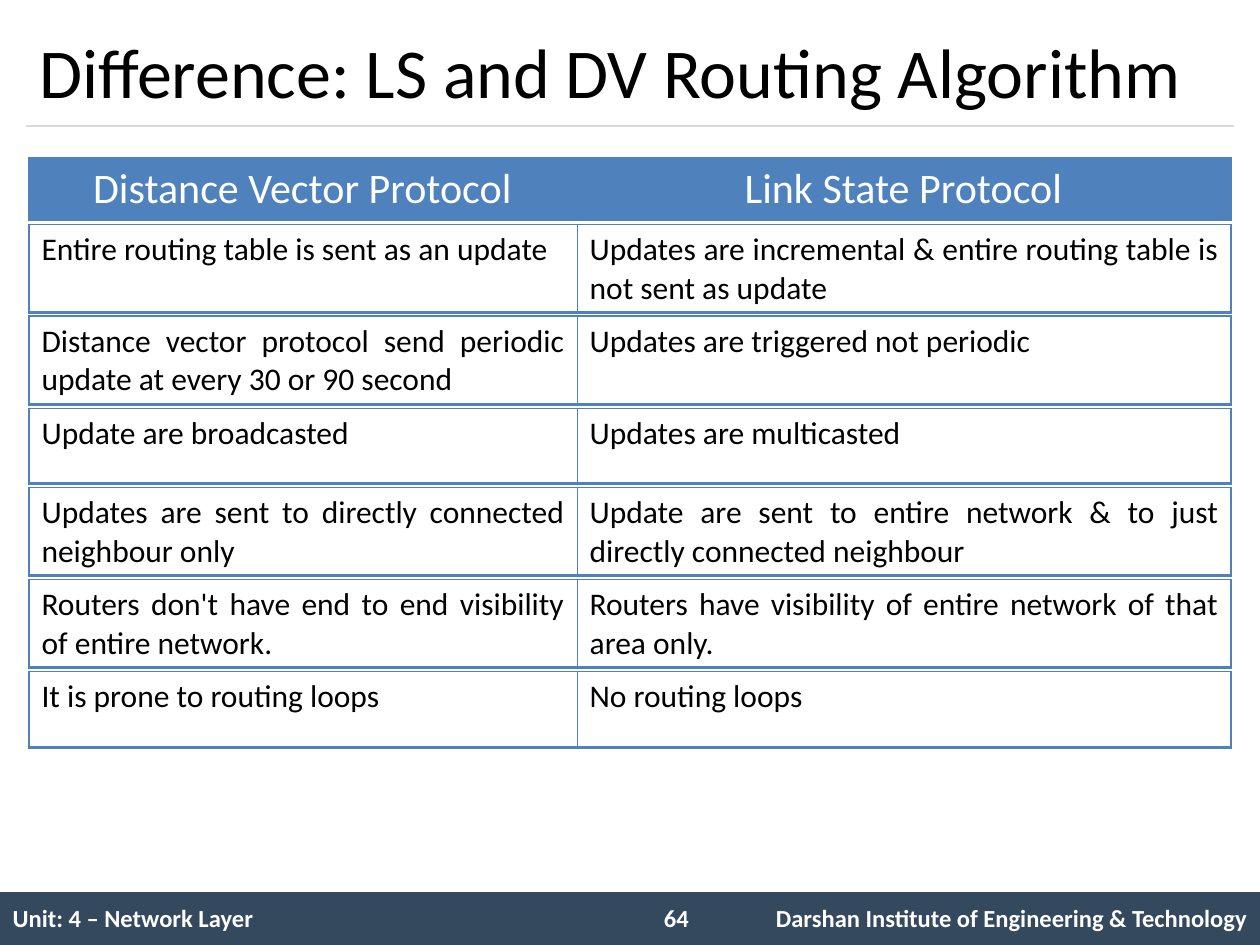
from dataclasses import dataclass
from typing import Optional

from lxml import etree
from pptx import Presentation
from pptx.dml.color import RGBColor
from pptx.enum.shapes import MSO_CONNECTOR, MSO_SHAPE
from pptx.enum.text import MSO_ANCHOR, PP_ALIGN
from pptx.oxml.ns import qn
from pptx.util import Emu, Inches, Pt

LEFT, CENTER, RIGHT, JUSTIFY = PP_ALIGN.LEFT, PP_ALIGN.CENTER, PP_ALIGN.RIGHT, PP_ALIGN.JUSTIFY
TOP, MIDDLE = MSO_ANCHOR.TOP, MSO_ANCHOR.MIDDLE
STRAIGHT, RECTANGLE = MSO_CONNECTOR.STRAIGHT, MSO_SHAPE.RECTANGLE

SLIDE_WIDTH, SLIDE_HEIGHT = Inches(10), Inches(7.5)
GRID_COLUMNS, GRID_ROWS = 100, 75
FONT = "Calibri"
BLACK = RGBColor(0x00, 0x00, 0x00)
WHITE = RGBColor(0xFF, 0xFF, 0xFF)
BLUE = RGBColor(0x4F, 0x81, 0xBD)
SLATE = RGBColor(0x34, 0x49, 0x5E)
RULE_GREY = RGBColor(0xD9, 0xD9, 0xD9)

TABLE_LEFT, TABLE_TOP, BAND_GAP = 2.3, 12.5, 0.3
FOOTER_TOP = 70.8


@dataclass(frozen=True)
class BandStyle:
    columns: tuple[float, ...]
    size: float
    color: RGBColor
    aligns: tuple[PP_ALIGN, ...]
    anchor: MSO_ANCHOR = TOP
    bold: bool = False
    fill: Optional[RGBColor] = None
    outer: float = 0
    inner: float = 0
    bottom: float = 0


@dataclass(frozen=True)
class Band:
    texts: tuple[str, ...]
    height: float
    style: BandStyle


HEADER = BandStyle((43.4, 52), 24, WHITE, (CENTER, CENTER), fill=BLUE, outer=1, bottom=1)
BODY = BandStyle((43.5, 51.9), 18, BLACK, (JUSTIFY, JUSTIFY), outer=1, inner=0.5, bottom=2)
FOOTER = BandStyle((50.8, 6.7, 42.5), 14, WHITE, (LEFT, LEFT, RIGHT), MIDDLE, True)

COMPARISON = (
    Band(("Distance Vector Protocol", "Link State Protocol"), 5, HEADER),
    Band(("Entire routing table is sent as an update",
          "Updates are incremental & entire routing table is not sent as update"), 7, BODY),
    Band(("Distance vector protocol send periodic update at every 30 or 90 second",
          "Updates are triggered not periodic"), 7, BODY),
    Band(("Update are broadcasted", "Updates are multicasted"), 6, BODY),
    Band(("Updates are sent to directly connected neighbour only",
          "Update are sent to entire network & to just directly connected neighbour"), 7, BODY),
    Band(("Routers don't have end to end visibility of entire network.",
          "Routers have visibility of entire network of that area only."), 7, BODY),
    Band(("It is prone to routing loops", "No routing loops"), 6, BODY),
)
FOOTER_BAND = Band(
    ("Unit: 4 – Network Layer", "", "Darshan Institute of Engineering & Technology"), 4.3, FOOTER)


def across(columns: float) -> Emu:
    return Emu(round(SLIDE_WIDTH * columns / GRID_COLUMNS))


def down(rows: float) -> Emu:
    return Emu(round(SLIDE_HEIGHT * rows / GRID_ROWS))


def area(left: float, top: float, width: float, height: float) -> tuple[Emu, Emu, Emu, Emu]:
    return across(left), down(top), across(width), down(height)


def write(frame, text: str, size: float, color: RGBColor, align=LEFT, bold=False) -> None:
    frame.text = text
    paragraph = frame.paragraphs[0]
    paragraph.alignment = align
    font = paragraph.font
    font.name, font.size, font.bold = FONT, Pt(size), bold
    font.color.rgb = color


def set_border(cell, side: str, width: float) -> None:
    border = etree.SubElement(cell._tc.get_or_add_tcPr(), qn(f"a:ln{side}"), w=str(Pt(width)))
    if width:
        paint = etree.SubElement(border, qn("a:solidFill"))
        etree.SubElement(paint, qn("a:srgbClr"), val=str(BLUE))
    else:
        etree.SubElement(border, qn("a:noFill"))


def draw_band(slide, band: Band, left: float, top: float) -> None:
    style = band.style
    last = len(style.columns) - 1
    table = slide.shapes.add_table(
        1, last + 1, *area(left, top, sum(style.columns), band.height)).table
    table.first_row = table.horz_banding = False
    for index, (text, width, align) in enumerate(zip(band.texts, style.columns, style.aligns)):
        table.columns[index].width = across(width)
        cell = table.cell(0, index)
        cell.vertical_anchor = style.anchor
        set_border(cell, "L", style.inner if index else style.outer)
        set_border(cell, "R", style.inner if index < last else style.outer)
        set_border(cell, "T", style.outer)
        set_border(cell, "B", style.bottom)
        if style.fill is None:
            cell.fill.background()
        else:
            cell.fill.solid()
            cell.fill.fore_color.rgb = style.fill
        write(cell.text_frame, text, style.size, style.color, align, style.bold)


def draw_title(slide) -> None:
    title = slide.shapes.title
    title.left, title.top, title.width, title.height = area(2.1, 1.2, 95.8, 8.8)
    title.text_frame.vertical_anchor = MIDDLE
    write(title.text_frame, "Difference: LS and DV Routing Algorithm", 40, BLACK)
    rule = slide.shapes.add_connector(
        STRAIGHT, across(2.1), down(10), across(97.9), down(10))
    rule.line.color.rgb = RULE_GREY
    rule.line.width = Pt(0.75)
    etree.SubElement(rule._element.spPr, qn("a:effectLst"))


def draw_footer(slide) -> None:
    bar = slide.shapes.add_shape(RECTANGLE, *area(0, FOOTER_TOP, 100, 4.2))
    bar.shadow.inherit = False
    bar.fill.solid()
    bar.fill.fore_color.rgb = SLATE
    bar.line.fill.background()
    draw_band(slide, FOOTER_BAND, 0, FOOTER_TOP)
    page_number = slide.shapes.add_textbox(*area(51.7, 71.2, 5.8, 3.4)).text_frame
    page_number.word_wrap = True
    write(page_number, "64", FOOTER.size, FOOTER.color, bold=True)


def main() -> None:
    presentation = Presentation()
    presentation.slide_width, presentation.slide_height = SLIDE_WIDTH, SLIDE_HEIGHT
    slide = presentation.slides.add_slide(presentation.slide_layouts.get_by_name("Title Only"))
    draw_footer(slide)
    draw_title(slide)
    top = TABLE_TOP
    for band in COMPARISON:
        draw_band(slide, band, TABLE_LEFT, top)
        top += band.height + BAND_GAP
    presentation.save("out.pptx")


if __name__ == "__main__":
    main()
